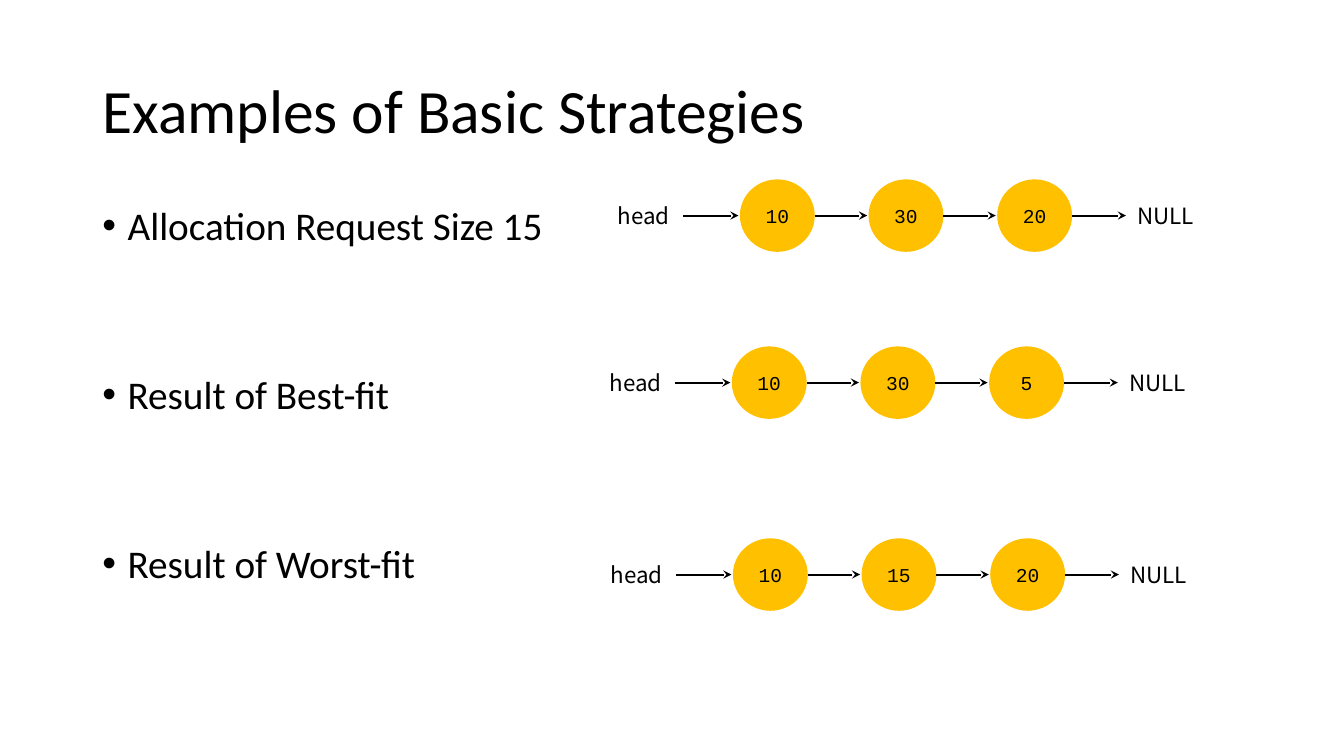
from lxml import etree
from pptx import Presentation
from pptx.dml.color import RGBColor
from pptx.enum import shapes, text
from pptx.oxml import ns
from pptx.util import Pt

INK = {"black": "000000", "gold": "FFC000"}
BLACK = RGBColor.from_string(INK["black"])
GOLD = RGBColor.from_string(INK["gold"])

deck = Presentation()
deck.slide_width, deck.slide_height = Pt(960), Pt(540)
slide = deck.slides.add_slide(deck.slide_layouts[1])
items = slide.shapes


def style(para, face, size):
    para.font.name, para.font.size = face, Pt(size)
    para.font.color.rgb = BLACK


def label(shape, words, face, size):
    """Centre one line of text in the shape, both ways."""
    frame = shape.text_frame
    frame.word_wrap = True
    frame.vertical_anchor = text.MSO_ANCHOR.MIDDLE
    para = frame.paragraphs[0]
    para.text = words
    para.alignment = text.PP_ALIGN.CENTER
    style(para, face, size)


# Title
title = items.title
title.left, title.top, title.width, title.height = Pt(66), Pt(28.8), Pt(828), Pt(104.4)
title.text_frame.auto_size = text.MSO_AUTO_SIZE.NONE
title.text_frame.vertical_anchor = text.MSO_ANCHOR.MIDDLE
head = title.text_frame.paragraphs[0]
head.text = "Examples of Basic Strategies"
head.alignment = text.PP_ALIGN.LEFT
head.line_spacing = 0.9
style(head, "Calibri", 44)

# Bullet list, spaced to sit beside the three chains
body = slide.placeholders[1]
body.left, body.top, body.width, body.height = Pt(66), Pt(143.75), Pt(828), Pt(342.6)
frame = body.text_frame
frame.auto_size = text.MSO_AUTO_SIZE.NONE
frame.text = "Allocation Request Size 15\nResult of Best-fit\nResult of Worst-fit"
for row, para in enumerate(frame.paragraphs):
    props = para._p.get_or_add_pPr()
    props.set("marL", str(Pt(18)))
    props.set("indent", str(Pt(-18)))
    para.line_spacing = 0.9
    para.space_before = Pt(90.5 if row else 0)
    etree.SubElement(props, ns.qn("a:buChar"), char="•")
    style(para, "Calibri", 28)

# Free lists: left edge, middle line, block sizes
CHAINS = [
    (431.3, 154, ["10", "30", "20"]),
    (425.5, 273.3, ["10", "30", "5"]),
    (426.3, 410.4, ["10", "15", "20"]),
]
NODE_W, NODE_H = 53.5, 51.8
TAG_W, TAG_H = 56.9, 24.4
FIRST, STEP, LAST = 97.2, 91.9, 373

for left, mid, sizes in CHAINS:
    tags = []
    for word, shift in (("head", 0), ("NULL", LAST)):
        tag = items.add_textbox(Pt(left + shift), Pt(mid - TAG_H / 2), Pt(TAG_W), Pt(TAG_H))
        label(tag, word, "Noto Sans CJK KR", 16)
        tags.append(tag)

    nodes = [left + FIRST + STEP * i for i in range(len(sizes))]
    for x, size in zip(nodes, sizes):
        node = items.add_shape(shapes.MSO_SHAPE.OVAL, Pt(x), Pt(mid - NODE_H / 2), Pt(NODE_W), Pt(NODE_H))
        node.shadow.inherit = False
        node.fill.solid()
        node.fill.fore_color.rgb = GOLD
        node.line.fill.background()
        label(node, size, "Courier New", 14)

    starts = [left + TAG_W] + [x + NODE_W for x in nodes]
    ends = [x - 1 for x in nodes] + [left + LAST]
    links = []
    for start, end in zip(starts, ends):
        link = items.add_connector(shapes.MSO_CONNECTOR.STRAIGHT, Pt(start), Pt(mid), Pt(end), Pt(mid))
        link.line.color.rgb = BLACK
        link.line.width = Pt(1.5)
        etree.SubElement(link.line._get_or_add_ln(), ns.qn("a:tailEnd"), type="stealth")
        etree.SubElement(link._element.spPr, ns.qn("a:effectLst"))
        links.append(link)
    links[0].begin_connect(tags[0], 3)
    links[-1].end_connect(tags[1], 1)

deck.save("out.pptx")
